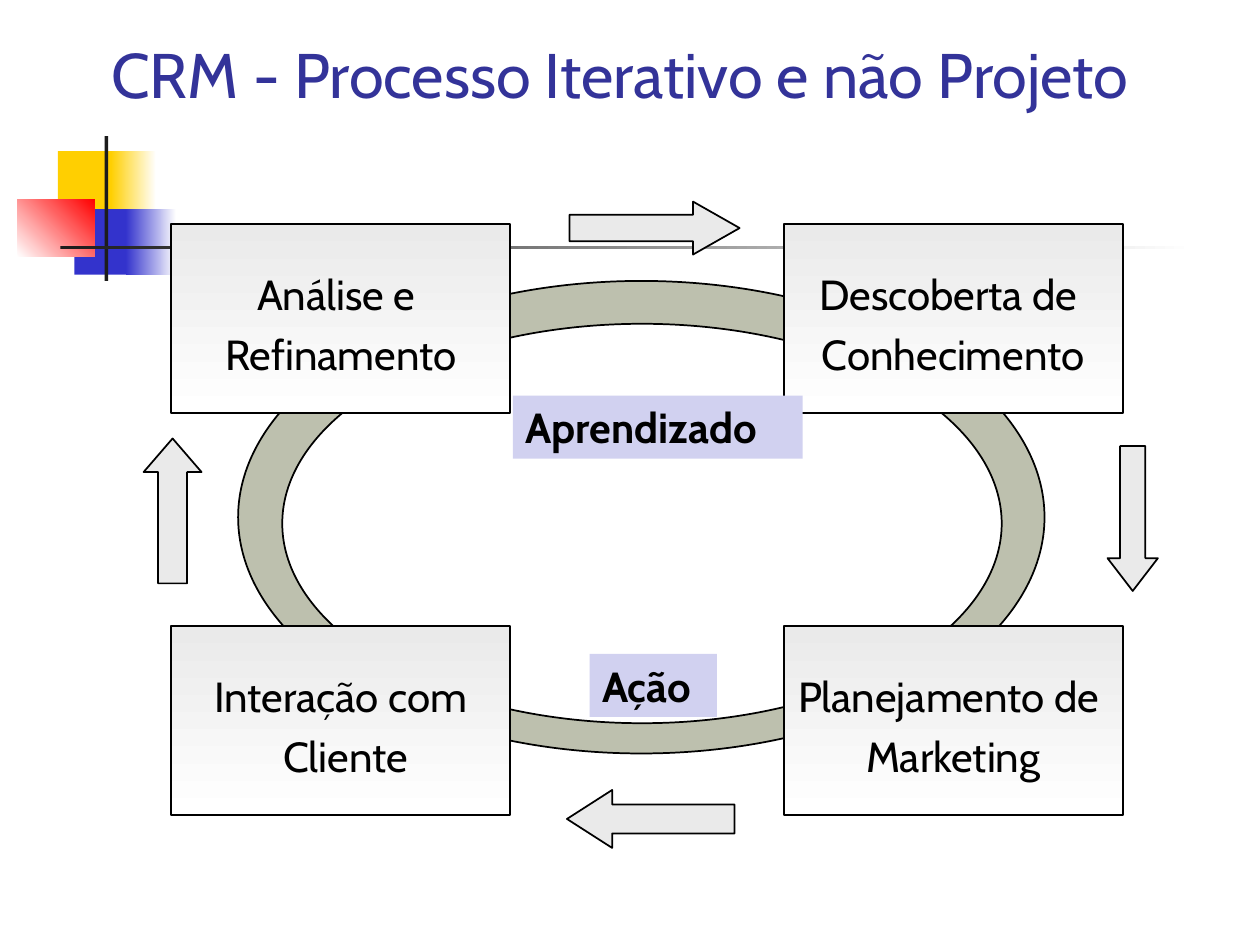
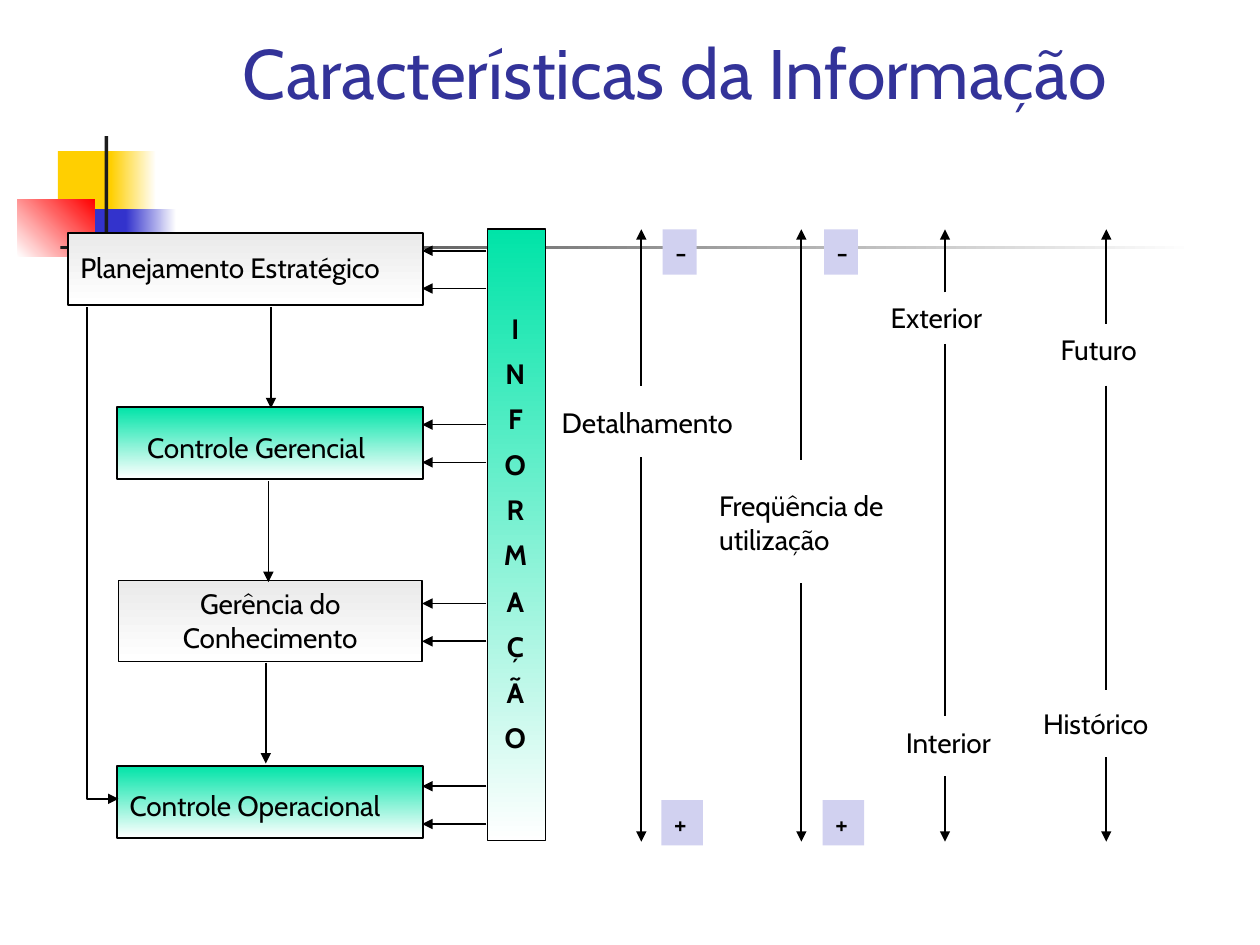
from dataclasses import dataclass
from itertools import product

from lxml.etree import SubElement
from pptx import Presentation
from pptx.dml.color import RGBColor
from pptx.enum.shapes import MSO_CONNECTOR as Connector, MSO_SHAPE as Shape
from pptx.enum.text import MSO_ANCHOR as Anchor, MSO_AUTO_SIZE as AutoSize, PP_ALIGN as Align
from pptx.oxml.ns import qn
from pptx.util import Pt

PX = 9144


@dataclass(frozen=True)
class Theme:
    """Colours, font and type sizes of the deck."""
    font: str = "Cabin"
    ink: str = "000000"
    paper: str = "FFFFFF"
    title: str = "333399"
    yellow: str = "FFCF01"
    blue: str = "3333CC"
    red: str = "FF0000"
    dark: str = "1C1C1C"
    ring: str = "BDC0AE"
    grey: str = "EAEAEA"
    green: str = "00E4A8"
    lilac: str = "D1D1F0"
    cycle_title: int = 36
    info_title: int = 40
    large: int = 24
    small: int = 16


THEME = Theme()


def px(*lengths):
    """Turn px lengths into EMU."""
    return [length * PX for length in lengths]


def rgb(code):
    """Read a colour code."""
    return RGBColor.from_string(code)


def paint(shape, color, fade=None):
    """Fill a shape with one colour or a gradient given as (end colour, angle)."""
    if fade is None:
        shape.fill.solid()
        shape.fill.fore_color.rgb = rgb(color)
        return
    end, angle = fade
    shape.fill.gradient()
    shape.fill.gradient_angle = angle
    for stop, code in zip(shape.fill.gradient_stops, (color, end)):
        stop.color.rgb = rgb(code)


def outline(shape, width=1):
    """Draw a dark outline."""
    shape.line.color.rgb = rgb(THEME.ink)
    shape.line.width = Pt(width)


def point_end(shape):
    """Put a triangular arrowhead at the end of a line."""
    stroke = shape._element.spPr.find(qn("a:ln"))
    SubElement(stroke, qn("a:tailEnd"), type="triangle")


def figure(slide, preset, box, color, fade=None, width=None):
    """Add a filled preset shape, outlined when a width is given."""
    shape = slide.shapes.add_shape(preset, *px(*box))
    shape.shadow.inherit = False
    paint(shape, color, fade)
    if width is None:
        shape.line.fill.background()
    else:
        outline(shape, width)
    return shape


def write(shape, lines, size, color=THEME.ink, bold=False, align=Align.LEFT,
          anchor=Anchor.TOP, wrap=False, spacing=None):
    """Set the paragraphs of a shape in one style."""
    frame = shape.text_frame
    frame.word_wrap = wrap
    frame.vertical_anchor = anchor
    frame.text = "\n".join(lines)
    for paragraph in frame.paragraphs:
        paragraph.alignment = align
        paragraph.line_spacing = spacing
        paragraph.font.name = THEME.font
        paragraph.font.size = Pt(size)
        paragraph.font.bold = bold
        paragraph.font.color.rgb = rgb(color)


def label(slide, box, *lines, size=THEME.small, back=None, **style):
    """Add a text box that fits its text, on a coloured back if given."""
    note = slide.shapes.add_textbox(*px(*box))
    write(note, lines, size, **style)
    note.text_frame.auto_size = AutoSize.SHAPE_TO_FIT_TEXT
    if back:
        paint(note, back)


def card(slide, box, color, width=1):
    """Add an outlined box that fades downwards to white."""
    return figure(slide, Shape.RECTANGLE, box, color, (THEME.paper, 270), width)


def line(slide, start, end, arrow=True):
    """Draw a straight line, by default with an arrowhead."""
    link = slide.shapes.add_connector(Connector.STRAIGHT, *px(*start, *end))
    outline(link)
    if arrow:
        point_end(link)
    SubElement(link._element.spPr, qn("a:effectLst"))


def axis(slide, x, *gaps):
    """Draw a vertical axis pointing both ways, broken where its words stand."""
    stops = [182, *(y for gap in gaps for y in gap), 668]
    segments = list(zip(stops[::2], stops[1::2]))
    top, bottom = segments[0]
    line(slide, (x, bottom), (x, top))
    for top, bottom in segments[1:]:
        line(slide, (x, top), (x, bottom), arrow=bottom == stops[-1])


def new_slide(deck):
    """Add a blank slide with the shared ornament."""
    slide = deck.slides.add_slide(deck.slide_layouts[6])
    to_right = (THEME.paper, 0)
    for box, color, fade in (
        ((46, 120, 48, 52), THEME.yellow, None),
        ((88, 120, 36, 52), THEME.yellow, to_right),
        ((59, 166, 46, 52), THEME.blue, None),
        ((100, 166, 40, 52), THEME.blue, to_right),
        ((14, 158, 61, 46), THEME.paper, (THEME.red, 45)),
        ((83, 108, 3, 115), THEME.dark, None),
        ((48, 195, 900, 3), THEME.dark, to_right),
    ):
        figure(slide, Shape.RECTANGLE, box, color, fade)
    return slide


def headline(slide, box, words, size, align):
    """Write the slide title."""
    title = slide.shapes.add_textbox(*px(*box))
    write(title, [words], size, THEME.title, align=align, anchor=Anchor.BOTTOM, wrap=True)


def cycle_slide(deck):
    """Build the slide on the iterative CRM cycle."""
    slide = new_slide(deck)
    figure(slide, Shape.OVAL, (189, 223, 640, 375), THEME.ring, width=1)
    figure(slide, Shape.OVAL, (224, 257, 571, 317), THEME.paper, width=1)
    headline(slide, (35, 25, 914, 68), "CRM - Processo Iterativo e não Projeto",
             THEME.cycle_title, Align.CENTER)

    stages = (
        ("Análise e ", "Refinamento"),
        ("Descoberta de ", "Conhecimento"),
        ("Interação com", " Cliente"),
        ("Planejamento de ", "Marketing"),
    )
    for (top, left), stage in zip(product((178, 497), (136, 622)), stages):
        write(card(slide, (left, top, 269, 150), THEME.grey), stage, THEME.large,
              align=Align.CENTER, anchor=Anchor.MIDDLE, spacing=1.2)

    for direction, box, head in (
        (Shape.RIGHT_ARROW, (452, 160, 135, 42), 0.88),
        (Shape.DOWN_ARROW, (879, 354, 40, 115), 0.65),
        (Shape.LEFT_ARROW, (450, 627, 133, 46), 0.78),
        (Shape.UP_ARROW, (114, 348, 46, 115), 0.58),
    ):
        figure(slide, direction, box, THEME.grey, width=1).adjustments[1] = head

    for box, phase in (((407, 314, 230, 50), "Aprendizado"), ((468, 519, 101, 50), "Ação")):
        label(slide, box, phase, size=THEME.large, back=THEME.lilac, bold=True)


def management_levels(slide):
    """Draw the chain of management levels."""
    for box, color in (
        ((54, 185, 282, 57), THEME.grey),
        ((93, 608, 243, 57), THEME.green),
        ((93, 323, 243, 57), THEME.green),
    ):
        card(slide, box, color)
    knowledge = card(slide, (94, 461, 241, 64), THEME.grey, 0.75)
    write(knowledge, ["Gerência do Conhecimento"], THEME.small, align=Align.CENTER, wrap=True)
    label(slide, (54, 194, 286, 36), "Planejamento Estratégico")
    label(slide, (107, 337, 214, 36), "Controle Gerencial")
    label(slide, (93, 621, 242, 36), "Controle Operacional")

    for x, top in ((215, 244), (213, 382), (211, 526)):
        line(slide, (x, top), (x, top + 80))
    route = slide.shapes.build_freeform(69, 244, scale=PX)
    route.add_line_segments([(69, 634), (94, 634)], close=False)
    bypass = route.convert_to_shape()
    bypass.shadow.inherit = False
    bypass.fill.background()
    outline(bypass)
    point_end(bypass)


def information_column(slide):
    """Draw the information column and its arrows to each level."""
    card(slide, (387, 182, 46, 485), THEME.green)
    for row, letter in enumerate("INFORMAÇÃO"):
        label(slide, (390, 242 + round(row * 36.1), 38, 36), letter,
              bold=True, align=Align.CENTER)
    for top, step in product((199, 337, 479, 624), (0, 30)):
        line(slide, (386, top + step), (335, top + step))


def information_axes(slide):
    """Draw the four axes with their words and signs."""
    axis(slide, 509, (306, 363))
    axis(slide, 636, (365, 463))
    axis(slide, 750, (232, 273), (568, 616))
    axis(slide, 878, (257, 306), (548, 601))
    label(slide, (436, 317, 169, 36), "Detalhamento")
    label(slide, (561, 383, 173, 63), "Freqüência de", "utilização")
    label(slide, (697, 234, 102, 36), "Exterior")
    label(slide, (709, 571, 99, 36), "Interior")
    label(slide, (832, 259, 89, 36), "Futuro")
    label(slide, (818, 556, 113, 36), "Histórico")
    for left in (526, 654):
        label(slide, (left, 182, 27, 36), "-", back=THEME.lilac)
        label(slide, (left - 1, 635, 33, 36), "+", back=THEME.lilac)


def information_slide(deck):
    """Build the slide on the characteristics of information."""
    slide = new_slide(deck)
    headline(slide, (183, 27, 781, 68), "Características da Informação",
             THEME.info_title, Align.LEFT)
    management_levels(slide)
    information_column(slide)
    information_axes(slide)


def main():
    """Build and save the deck."""
    deck = Presentation()
    deck.slide_width, deck.slide_height = px(1000, 750)
    cycle_slide(deck)
    information_slide(deck)
    deck.save("out.pptx")


if __name__ == "__main__":
    main()
